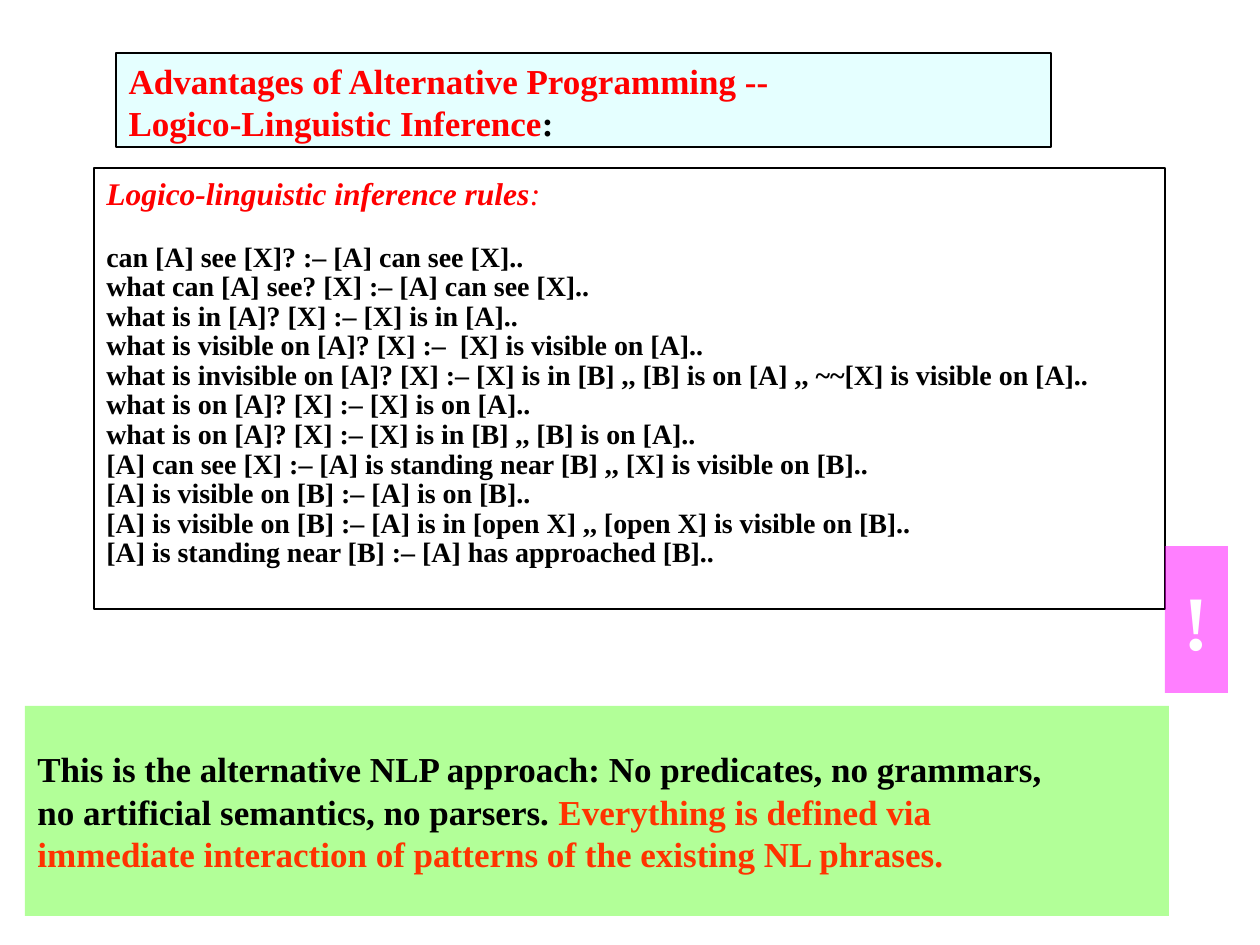
"""Build the slide on logico-linguistic inference rules."""
from dataclasses import dataclass
from typing import Optional

from lxml.etree import SubElement
from pptx import Presentation
from pptx.dml.color import RGBColor
from pptx.enum.shapes import MSO_SHAPE
from pptx.enum.text import MSO_ANCHOR as ANCHOR, MSO_AUTO_SIZE as AUTO, PP_ALIGN as ALIGN
from pptx.oxml.ns import qn
from pptx.util import Emu, Pt

FONT = "Times New Roman"
SCALE = 914400 / 126
COLORS = {
    "white": "FFFFFF", "black": "000000", "red": "FF0000", "orange": "FF3300",
    "cyan": "CCFFFF", "pink": "FF00FF", "green": "66FF33",
}
RULES = [
    "can [A] see [X]? :– [A] can see [X]..",
    "what can [A] see? [X] :– [A] can see [X]..",
    "what is in [A]? [X] :– [X] is in [A]..",
    "what is visible on [A]? [X] :–  [X] is visible on [A]..",
    "what is invisible on [A]? [X] :– [X] is in [B] ,, [B] is on [A] ,, ~~[X] is visible on [A]..",
    "what is on [A]? [X] :– [X] is on [A]..",
    "what is on [A]? [X] :– [X] is in [B] ,, [B] is on [A]..",
    "[A] can see [X] :– [A] is standing near [B] ,, [X] is visible on [B]..",
    "[A] is visible on [B] :– [A] is on [B]..",
    "[A] is visible on [B] :– [A] is in [open X] ,, [open X] is visible on [B]..",
    "[A] is standing near [B] :– [A] has approached [B]..",
]


@dataclass
class Run:
    text: str
    color: str = "black"
    bold: bool = True


@dataclass
class Para:
    runs: list[Run]
    size: int = 20
    italic: bool = False
    align: ALIGN = ALIGN.LEFT
    spacing: float = 1.0
    before: int = 0


@dataclass
class Box:
    left: int
    top: int
    width: int
    height: int
    fill: str
    paras: list[Para]
    line: Optional[str] = None
    anchor: ANCHOR = ANCHOR.TOP
    wrap: bool = True


TITLE = Box(116, 53, 935, 94, "cyan", [
    Para([Run("Advantages of Alternative Programming --", "red")]),
    Para([Run("Logico-Linguistic Inference", "red"), Run(":")]),
], line="black")
BOXES = [
    Box(94, 168, 1071, 441, "white", [
        Para([Run("Logico-linguistic inference rules", "red"), Run(":", "red", False)], 18, True),
        *[Para([Run(rule)], 16, align=ALIGN.JUSTIFY, spacing=0.88, before=0 if i else 18)
          for i, rule in enumerate(RULES)],
    ], line="black"),
    Box(1165, 546, 63, 147, "pink", [Para([Run("!", "white")], 44, align=ALIGN.CENTER)],
        anchor=ANCHOR.MIDDLE, wrap=False),
    Box(25, 706, 1144, 210, "green", [
        Para([Run("This is the alternative NLP approach: No predicates, no grammars,")]),
        Para([Run("no artificial semantics, no parsers. "), Run("Everything is defined via", "orange")]),
        Para([Run("immediate interaction of patterns of the existing NL phrases.", "orange")]),
    ], anchor=ANCHOR.MIDDLE, wrap=False),
]


def px(n: int) -> Emu:
    return Emu(round(n * SCALE))


def rgb(name: str) -> RGBColor:
    return RGBColor.from_string(COLORS[name])


def write_para(p, para: Para) -> None:
    p.alignment, p.line_spacing = para.align, para.spacing
    p.space_before = Pt(para.before)
    p.font.name, p.font.size, p.font.italic = FONT, Pt(para.size), para.italic
    for run in para.runs:
        r = p.add_run()
        r.text = run.text
        r.font.bold = run.bold
        r.font.color.rgb = rgb(run.color)


def format_box(sp, box: Box) -> None:
    sp.left, sp.top, sp.width, sp.height = map(px, (box.left, box.top, box.width, box.height))
    sp.fill.solid()
    sp.fill.fore_color.rgb = rgb(box.fill)
    color = sp.element.spPr.find(qn("a:solidFill"))[0]
    SubElement(color, qn("a:alpha"), val="50000")
    if box.line:
        sp.line.color.rgb = rgb(box.line)
        sp.line.width = Pt(0.75)
    else:
        sp.line.fill.background()
    tf = sp.text_frame
    tf.word_wrap, tf.auto_size, tf.vertical_anchor = box.wrap, AUTO.NONE, box.anchor
    for i, para in enumerate(box.paras):
        write_para(tf.add_paragraph() if i else tf.paragraphs[0], para)


def main() -> None:
    prs = Presentation()
    prs.slide_width, prs.slide_height = px(1260), px(945)
    s = prs.slides.add_slide(prs.slide_layouts[5])
    format_box(s.shapes.title, TITLE)
    for box in BOXES:
        sp = s.shapes.add_shape(MSO_SHAPE.RECTANGLE, 0, 0, 0, 0)
        sp.shadow.inherit = False
        format_box(sp, box)
    prs.save("out.pptx")


if __name__ == "__main__":
    main()
